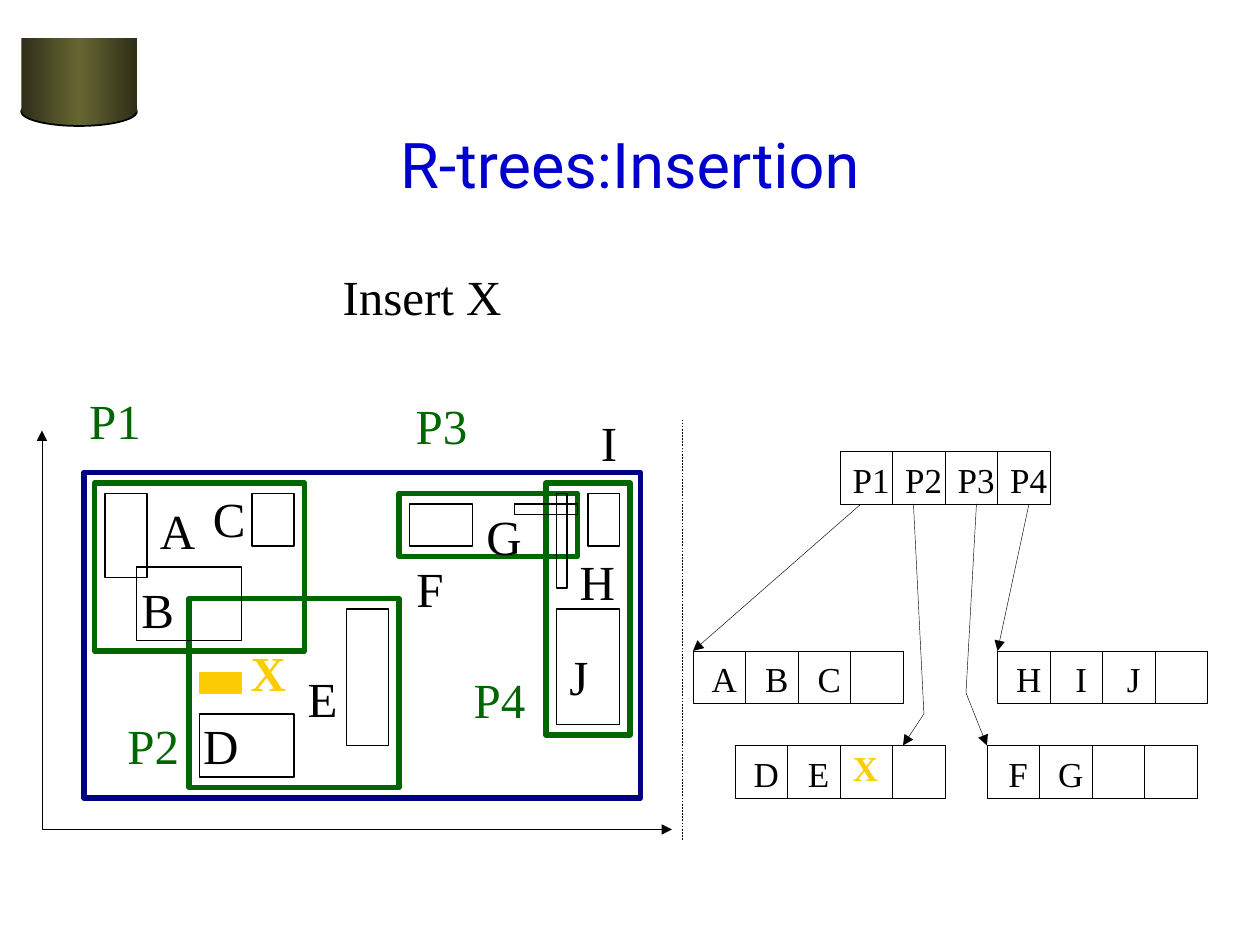
import copy

import lxml.etree
import pptx
import pptx.dml.color
import pptx.enum.dml
import pptx.enum.shapes
import pptx.enum.text
import pptx.oxml.ns
import pptx.util
from pptx.util import Cm

COLORS = {
    "title": "0000CC",
    "text": "000000",
    "node": "006600",
    "root": "000080",
    "insert": "FCCD04",
    "cylinder edge": "2F2F18",
    "cylinder middle": "666633",
}
SERIF = "Times New Roman"
GRID = 2.54 / 12  # the diagram sits on a grid of twelfths of an inch, in cm
CELL = 5          # side of one tree cell, in grid steps

# Advance widths in ems, used to size each label to its text
EMS = {
    "A": 0.72, "B": 0.67, "C": 0.67, "D": 0.72, "E": 0.61, "F": 0.56,
    "G": 0.72, "H": 0.72, "I": 0.33, "J": 0.39, "P": 0.56, "X": 0.72,
    "n": 0.5, "s": 0.39, "e": 0.44, "r": 0.33, "t": 0.28, " ": 0.25,
}

# Rectangles: left, top, width, height in grid steps
NODE_BOXES = [(9, 46, 20, 16), (52, 46, 8, 24), (18, 57, 20, 18), (38, 47, 17, 6)]
OBJECT_BOXES = [
    (10, 47, 4, 8), (24, 47, 4, 5), (13, 54, 10, 7), (19, 68, 9, 6),
    (33, 58, 4, 13), (39, 48, 6, 4), (53, 58, 6, 11), (56, 47, 3, 5),
    (49, 48, 6, 1), (53, 47, 1, 9),
]
ROOT_BOX = (8, 45, 53, 31)
INSERTED_BOX = (19, 64, 4, 2)

# Labels: text, centre x and centre y in cm
OBJECT_LABELS = [
    ("A", 3.58, 10.68), ("B", 3.18, 12.28), ("C", 4.62, 10.45),
    ("D", 4.45, 15.02), ("E", 6.5, 14.06), ("F", 8.67, 11.85),
    ("G", 10.16, 10.81), ("H", 12.04, 11.72), ("I", 12.28, 8.9),
    ("J", 11.67, 13.63),
]
NODE_LABELS = [
    ("P1", 2.32, 8.47), ("P2", 3.09, 15.02), ("P3", 8.9, 8.57), ("P4", 10.07, 14.08),
]

# Tree nodes: left and top in grid steps, then the entries
TREE_NODES = [
    (80, 43, ["P1", "P2", "P3", "P4"]),
    (94, 71, ["F", "G"]),
    (70, 71, ["D", "E"]),
    (95, 62, ["H", "I", "J"]),
    (66, 62, ["A", "B", "C"]),
]


def grid(steps):
    return Cm(steps * GRID)


def rgb(name):
    return pptx.dml.color.RGBColor.from_string(COLORS[name])


class SlideBuilder:
    def __init__(self, slide):
        self.slide = slide
        self.shapes = slide.shapes

    def format_text(self, shape, text, size, color, font, bold=False):
        frame = shape.text_frame
        frame.text = text
        frame.vertical_anchor = pptx.enum.text.MSO_ANCHOR.MIDDLE
        paragraph = frame.paragraphs[0]
        paragraph.alignment = pptx.enum.text.PP_ALIGN.CENTER
        for run in paragraph.runs:
            run.font.size = pptx.util.Pt(size)
            run.font.name = font
            run.font.bold = bold
            run.font.color.rgb = rgb(color)

    def title(self, text):
        shape = self.shapes.title
        shape.left, shape.top = Cm(1.9), Cm(1.7)
        shape.width, shape.height = Cm(21.6), Cm(3.18)
        self.format_text(shape, text, 36, "title", "Roboto")

    def label(self, text, center_x, center_y, size=28, color="text", bold=False, shapes=None):
        """Add a one-line label centred on a point given in cm."""
        inch = 2.54
        ems = sum(EMS.get(letter, 0.5) for letter in text)
        width = (ems * size / 72 + 0.2) * inch
        height = (1.2 * size / 72 + 0.1) * inch
        box = (shapes or self.shapes).add_textbox(
            Cm(center_x - width / 2), Cm(center_y - height / 2), Cm(width), Cm(height))
        box.text_frame.word_wrap = False
        box.text_frame.auto_size = pptx.enum.text.MSO_AUTO_SIZE.SHAPE_TO_FIT_TEXT
        self.format_text(box, text, size, color, SERIF, bold)

    def outline(self, shape, color, width):
        shape.line.color.rgb = rgb(color)
        shape.line.width = pptx.util.Pt(width)

    def rectangle(self, box, color="text", width=0.75, fill=None, shapes=None):
        shape = (shapes or self.shapes).add_shape(
            pptx.enum.shapes.MSO_SHAPE.RECTANGLE, *map(grid, box))
        shape.shadow.inherit = False
        if fill:
            shape.fill.solid()
            shape.fill.fore_color.rgb = rgb(fill)
        else:
            shape.fill.background()
        self.outline(shape, color, width)

    def arrowheads(self, shape, *ends):
        line = shape._element.spPr.find(pptx.oxml.ns.qn("a:ln"))
        for end in ends:
            lxml.etree.SubElement(line, pptx.oxml.ns.qn(f"a:{end}"), type="triangle")

    def line(self, start, end):
        connector = self.shapes.add_connector(
            pptx.enum.shapes.MSO_CONNECTOR.STRAIGHT, *map(grid, start + end))
        self.outline(connector, "text", 0.25)
        lxml.etree.SubElement(connector._element.spPr, pptx.oxml.ns.qn("a:effectLst"))
        return connector

    def arrow(self, start, end):
        self.arrowheads(self.line(start, end), "tailEnd")

    def polyline(self, points, *ends):
        start, *others = [(grid(x), grid(y)) for x, y in points]
        builder = self.shapes.build_freeform(*start)
        builder.add_line_segments(others, close=False)
        shape = builder.convert_to_shape()
        shape.shadow.inherit = False
        shape.fill.background()
        self.outline(shape, "text", 0.25)
        self.arrowheads(shape, *ends)

    def tree_node(self, left, top, entries):
        """Add four grouped cells, the first ones holding the entries."""
        shapes = self.shapes.add_group_shape().shapes
        for column in range(4):
            self.rectangle((left + column * CELL, top, CELL, CELL), width=0.25, shapes=shapes)
        for column, entry in enumerate(entries):
            center_x = (left + (column + 0.5) * CELL) * GRID + 0.1
            center_y = (top + 0.5 * CELL) * GRID + 0.03
            self.label(entry, center_x, center_y, 20, shapes=shapes)

    def cylinder(self):
        kinds = pptx.enum.shapes.MSO_SHAPE
        for kind, top, height in [(kinds.OVAL, 1.96, 0.58), (kinds.RECTANGLE, 0.76, 1.5)]:
            shape = self.shapes.add_shape(kind, Cm(0.43), Cm(top), Cm(2.33), Cm(height))
            shape.shadow.inherit = False
            shape.fill.gradient()
            shape.fill.gradient_angle = 0
            first_stop = next(shape._element.iter(pptx.oxml.ns.qn("a:gs")))
            first_stop.addnext(copy.deepcopy(first_stop))
            tones = ["cylinder edge", "cylinder middle", "cylinder edge"]
            for index, (stop, tone) in enumerate(zip(shape.fill.gradient_stops, tones)):
                stop.position = index / 2
                stop.color.rgb = rgb(tone)
            if kind == kinds.OVAL:
                self.outline(shape, "text", 1)
            else:
                shape.line.fill.background()


def main():
    presentation = pptx.Presentation()
    presentation.slide_width, presentation.slide_height = Cm(25.4), Cm(19.05)
    builder = SlideBuilder(presentation.slides.add_slide(presentation.slide_layouts[5]))

    builder.cylinder()
    builder.title("R-trees:Insertion")
    builder.label("Insert X", 8.51, 5.96)

    for box in NODE_BOXES:
        builder.rectangle(box, "node", 3)
    for box in OBJECT_BOXES:
        builder.rectangle(box)
    builder.rectangle(ROOT_BOX, "root", 3)
    builder.polyline([(4, 41), (4, 79), (64, 79)], "headEnd", "tailEnd")
    for label in OBJECT_LABELS:
        builder.label(*label)
    for label in NODE_LABELS:
        builder.label(*label, color="node")

    for node in TREE_NODES:
        builder.tree_node(*node)
    divider = builder.line((65, 80), (65, 40))
    divider.line.dash_style = pptx.enum.dml.MSO_LINE.DASH
    builder.arrow((82, 48), (66, 62))
    builder.arrow((98, 48), (95, 62))
    builder.polyline([(87, 48), (88, 68), (86, 71)], "tailEnd")
    builder.polyline([(93, 48), (92, 66), (94, 71)], "tailEnd")

    builder.label("X", 5.41, 13.55, color="insert", bold=True)
    builder.rectangle(INSERTED_BOX, "insert", 0.25, fill="insert")
    builder.label("X", 17.45, 15.47, 20, "insert", bold=True)
    presentation.save("out.pptx")


if __name__ == "__main__":
    main()
